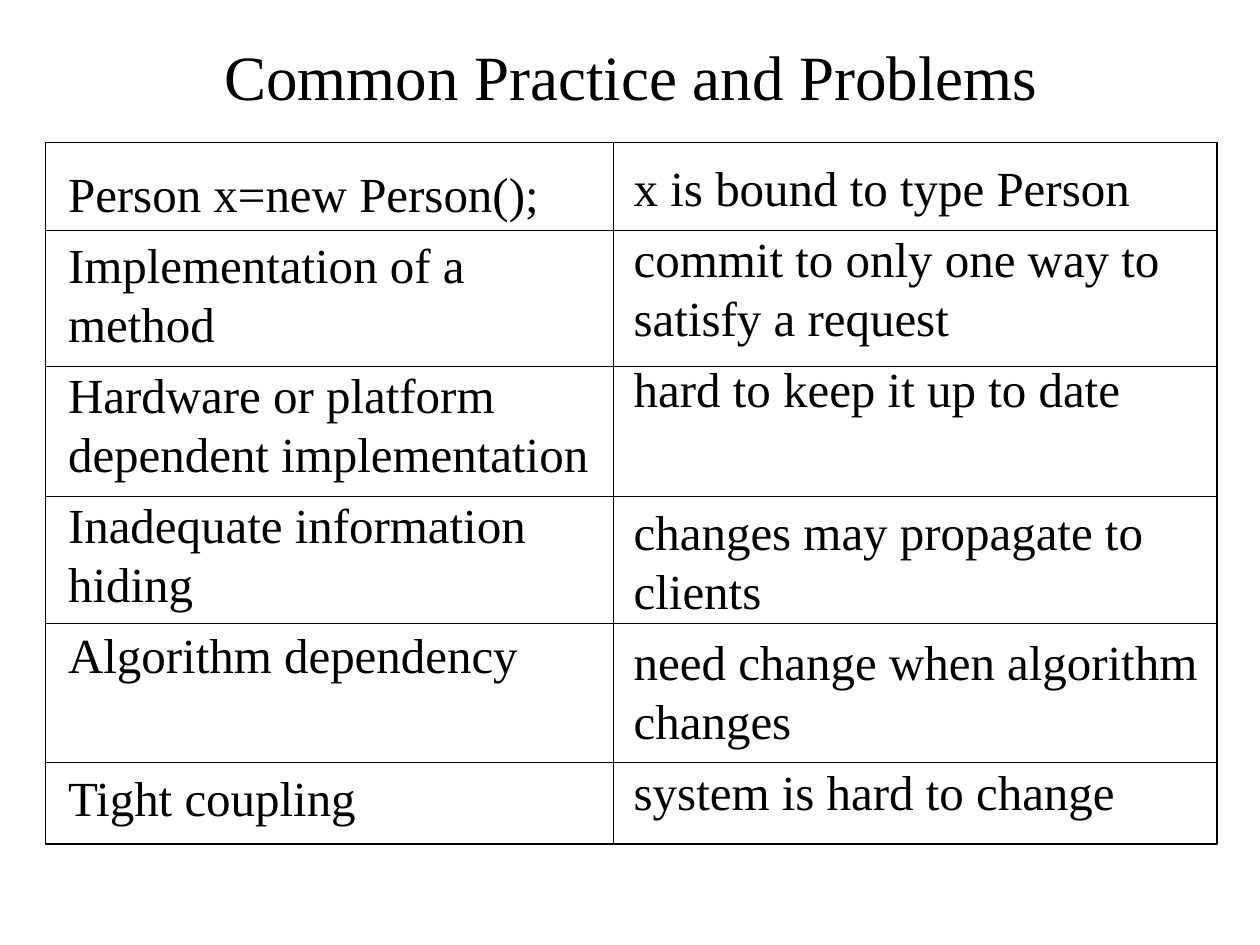
from lxml import etree
from pptx import Presentation
from pptx.dml.color import RGBColor
from pptx.enum.shapes import MSO_CONNECTOR, MSO_SHAPE
from pptx.enum.text import MSO_ANCHOR, PP_ALIGN
from pptx.oxml.ns import qn
from pptx.util import Inches, Pt

BLACK = RGBColor(0, 0, 0)
FONT = "Times New Roman"
LINE_WIDTH = Pt(0.75)
PARAGRAPH_GAP = 7
SKIPPED_LINE_GAP = 48  # one line of text and a paragraph gap on each side

LEFT, TOP, RIGHT, BOTTOM = 0.36, 1.13, 9.66, 6.7
COLUMN_DIVIDER = 4.87
ROW_DIVIDERS = [1.83, 2.91, 3.94, 4.95, 6.05]

# Each entry holds its text and the space before it in points.
PRACTICES = [
    ("Person x=new Person();", PARAGRAPH_GAP),
    ("Implementation of a method", PARAGRAPH_GAP),
    ("Hardware or platform dependent implementation", PARAGRAPH_GAP),
    ("Inadequate information hiding", PARAGRAPH_GAP),
    ("Algorithm dependency", PARAGRAPH_GAP),
    ("Tight coupling", SKIPPED_LINE_GAP),
]
PROBLEMS = [
    ("x is bound to type Person", PARAGRAPH_GAP),
    ("commit to only one way to satisfy a request", PARAGRAPH_GAP),
    ("hard to keep it up to date", PARAGRAPH_GAP),
    ("changes may propagate to clients", SKIPPED_LINE_GAP),
    ("need change when algorithm changes", PARAGRAPH_GAP),
    ("system is hard to change", PARAGRAPH_GAP),
]


def add_text(shapes, entries, left, top, width, height, *, size=28, margins=(0, 0),
             align=PP_ALIGN.LEFT, anchor=MSO_ANCHOR.TOP):
    """Add a text box with one paragraph per (text, space before) entry."""
    box = shapes.add_textbox(Inches(left), Inches(top), Inches(width), Inches(height))
    frame = box.text_frame
    frame.word_wrap = True
    frame.vertical_anchor = anchor
    frame.margin_left = frame.margin_right = Inches(margins[0])
    frame.margin_top = frame.margin_bottom = Inches(margins[1])
    for index, (text, space_before) in enumerate(entries):
        paragraph = frame.add_paragraph() if index else frame.paragraphs[0]
        paragraph.alignment = align
        paragraph.space_before = Pt(space_before)
        run = paragraph.add_run()
        run.text = text
        run.font.name = FONT
        run.font.size = Pt(size)
        run.font.color.rgb = BLACK


def style_line(line):
    line.color.rgb = BLACK
    line.width = LINE_WIDTH


def add_line(shapes, start_x, start_y, end_x, end_y):
    connector = shapes.add_connector(
        MSO_CONNECTOR.STRAIGHT, Inches(start_x), Inches(start_y), Inches(end_x), Inches(end_y))
    style_line(connector.line)
    etree.SubElement(connector.element.spPr, qn("a:effectLst"))


def add_frame(shapes):
    frame = shapes.add_shape(
        MSO_SHAPE.RECTANGLE, Inches(LEFT), Inches(TOP), Inches(RIGHT - LEFT), Inches(BOTTOM - TOP))
    frame.shadow.inherit = False
    frame.fill.background()
    style_line(frame.line)


def main():
    presentation = Presentation()
    presentation.slide_width = Inches(10)
    presentation.slide_height = Inches(7.5)
    slide = presentation.slides.add_slide(presentation.slide_layouts[6])

    add_text(slide.shapes, [("Common Practice and Problems", 0)], 0.23, 0.24, 9.56, 0.72,
             size=36, margins=(0.1, 0.05), align=PP_ALIGN.CENTER, anchor=MSO_ANCHOR.MIDDLE)

    grid = slide.shapes.add_group_shape().shapes
    add_frame(grid)
    for row_y in ROW_DIVIDERS:
        add_line(grid, LEFT, row_y, RIGHT, row_y)
    add_line(grid, COLUMN_DIVIDER, TOP, COLUMN_DIVIDER, BOTTOM)
    add_text(grid, PRACTICES, 0.54, 1.3, 4.19, 5.25)
    add_text(grid, PROBLEMS, 5.03, 1.25, 4.57, 5.25)

    presentation.save("out.pptx")


if __name__ == "__main__":
    main()
